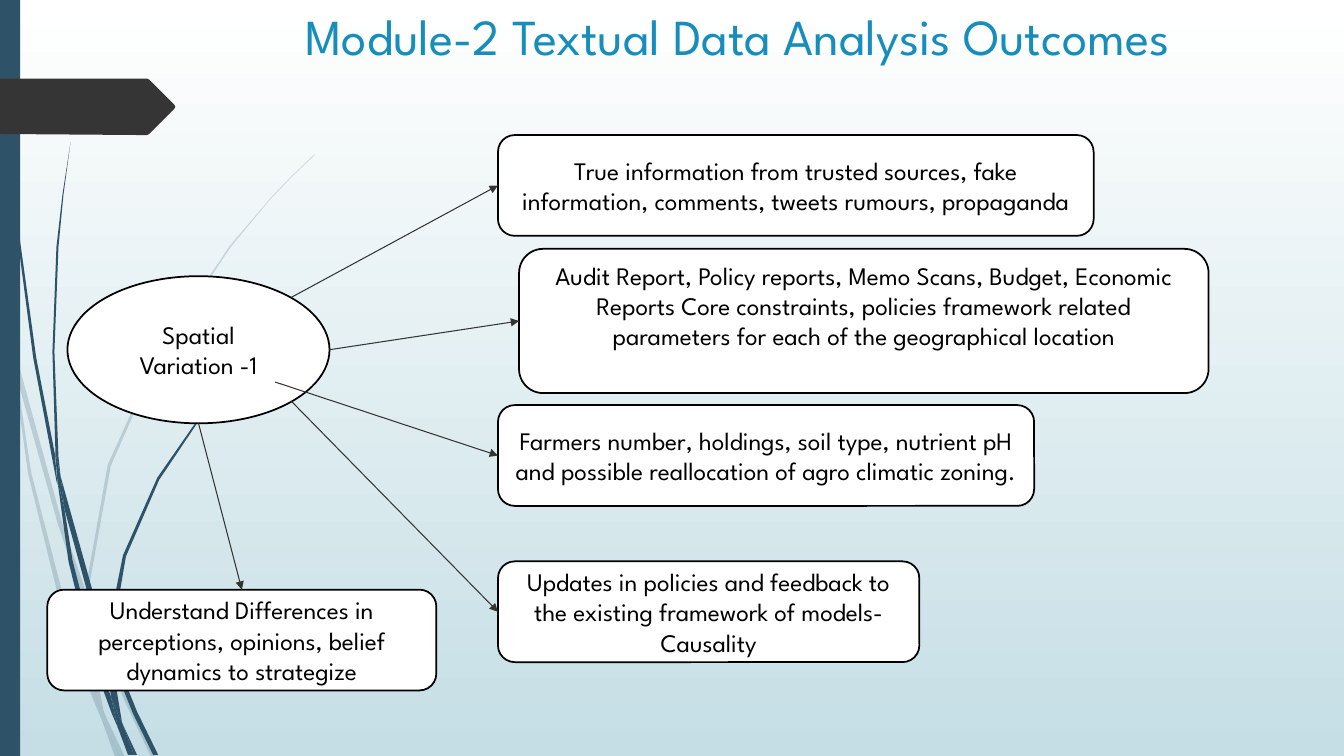
from lxml.etree import SubElement
from pptx import Presentation
from pptx.dml.color import RGBColor
from pptx.enum.shapes import MSO_CONNECTOR, MSO_SHAPE
from pptx.enum.text import MSO_ANCHOR, PP_ALIGN
from pptx.oxml.ns import qn
from pptx.util import Pt

FONT = "League Spartan"
NAVY = "2E5369"
LEFT, TOP = 1, 0  # connection sites

# Outlines of the grass blades, in hundredths of an inch
PALE_BLADES = [
    [(11, 350), (9, 322), (0, 282), (0, 299), (10, 344)],
    [(58, 522), (84, 599), (85, 586), (62, 520), (14, 345), (17, 376)],
    [(92, 607), (88, 596), (88, 610), (123, 694), (150, 751), (155, 751), (127, 692)],
    [(119, 751), (124, 751), (105, 711)],
    [(93, 683), (70, 619), (31, 469), (17, 376), (11, 350), (28, 470), (65, 621),
     (92, 693), (101, 714), (99, 707)],
    [(84, 599), (87, 646), (93, 683), (96, 692), (105, 711), (103, 706), (91, 646),
     (88, 610), (88, 608)],
    [(88, 584), (110, 462), (160, 349), (229, 245), (268, 198), (290, 175), (312, 154),
     (312, 153), (289, 175), (268, 197), (228, 244), (158, 348), (107, 461), (85, 584),
     (85, 586), (88, 596)],
    [(101, 714), (114, 751), (119, 751)],
    [(88, 608), (88, 610), (88, 596), (85, 586), (84, 599)],
    [(96, 692), (93, 683), (99, 707), (101, 714), (119, 751), (105, 711)],
]
DARK_BLADES = [
    [(7, 110), (17, 233), (33, 355), (56, 477), (57, 481), (55, 457), (55, 453),
     (36, 355), (19, 232), (8, 109), (5, 48), (4, 0), (3, 0), (4, 48)],
    [(88, 592), (106, 645), (106, 633), (106, 631), (93, 590), (60, 472), (64, 505)],
    [(113, 649), (110, 641), (111, 656), (132, 708), (152, 749), (157, 749), (136, 706)],
    [(110, 691), (98, 657), (72, 556), (64, 505), (57, 477), (68, 557), (93, 659),
     (111, 708), (117, 722), (116, 717)],
    [(60, 472), (58, 453), (54, 349), (58, 245), (63, 193), (70, 141), (62, 193),
     (56, 245), (52, 349), (55, 449)],
    [(133, 749), (136, 749), (122, 719)],
    [(57, 477), (64, 505), (60, 472), (55, 449), (55, 453)],
    [(111, 633), (125, 552), (158, 476), (205, 406), (231, 374), (245, 359), (261, 344),
     (260, 344), (245, 358), (231, 373), (204, 405), (156, 474), (122, 551), (106, 631),
     (110, 641)],
    [(117, 722), (127, 749), (131, 749)],
    [(106, 645), (110, 691), (116, 706), (122, 719), (121, 716), (111, 656), (109, 651)],
    [(116, 706), (110, 691), (116, 717), (117, 722), (130, 749), (133, 749), (122, 719)],
]
TAG = [(173, 108), (148, 133), (146, 134), (136, 134), (0, 133), (0, 78), (146, 78),
       (148, 79), (173, 104), (174, 106)]

# Left, top, width, height, start of the arrow, side it reaches, text
OUTCOMES = [
    (355.7, 96.5, 425.5, 72, (208.1, 212.4), LEFT,
     "True information from trusted sources, fake information, comments, tweets rumours, "
     "propaganda"),
    (370.8, 177.8, 492.5, 103, (235.4, 249.8), LEFT,
     "Audit Report, Policy reports, Memo Scans, Budget, Economic Reports Core constraints, "
     "policies framework related parameters for each of the geographical location"),
    (355.7, 289.4, 383, 72, (196.6, 272.9), LEFT,
     "Farmers number, holdings, soil type, nutrient pH and possible reallocation of agro "
     "climatic zoning."),
    (355.7, 401, 301, 72, (208.1, 286.6), LEFT,
     "Updates in policies and feedback to the existing framework of models-Causality"),
    (33.8, 421.2, 277.9, 72, (141.8, 302.4), TOP,
     "Understand Differences in perceptions, opinions, belief dynamics to strategize"),
]


def color(hex_string):
    return RGBColor.from_string(hex_string)


def add_bubble(preset, left, top, width, height, text):
    """Add a white, black-edged shape with centred text."""
    bubble = page.shapes.add_shape(preset, Pt(left), Pt(top), Pt(width), Pt(height))
    bubble.shadow.inherit = False
    bubble.fill.solid()
    bubble.fill.fore_color.rgb = color("FFFFFF")
    bubble.line.color.rgb = color("000000")
    bubble.line.width = Pt(1.25)
    frame = bubble.text_frame
    frame.word_wrap = True
    frame.vertical_anchor = MSO_ANCHOR.MIDDLE
    para = frame.paragraphs[0]
    para.alignment = PP_ALIGN.CENTER
    span = para.add_run()
    span.text = text
    span.font.name = FONT
    span.font.size = Pt(18)
    span.font.color.rgb = color("000000")
    return bubble


deck = Presentation()
deck.slide_width, deck.slide_height = Pt(960), Pt(540)
page = deck.slides.add_slide(deck.slide_layouts[6])

backdrop = page.background.fill
backdrop.gradient()
backdrop.gradient_angle = 270
for stop, shade in zip(backdrop.gradient_stops, ("FFFFFF", "C5DEE5")):
    stop.color.rgb = color(shade)

# Decoration on the left edge
band = page.shapes.add_shape(MSO_SHAPE.RECTANGLE, 0, 0, Pt(14.4), Pt(540))
band.shadow.inherit = False
band.fill.solid()
band.fill.fore_color.rgb = color(NAVY)
band.line.fill.background()

for outlines, shade, opacity in ((PALE_BLADES, NAVY, 20), (DARK_BLADES, NAVY, 100),
                                 ([TAG], "353535", 100)):
    for outline in outlines:
        builder = page.shapes.build_freeform(*outline[0], scale=Pt(0.72))
        builder.add_line_segments(outline[1:], close=True)
        piece = builder.convert_to_shape()
        piece.shadow.inherit = False
        piece.fill.solid()
        piece.fill.fore_color.rgb = color(shade)
        piece.line.fill.background()
        if opacity < 100:
            tint = piece.fill._xPr.find(qn("a:solidFill"))[0]
            SubElement(tint, qn("a:alpha"), val=str(opacity * 1000))

# Title
title = page.shapes.add_textbox(Pt(211), 0, Pt(702), Pt(100.8))
title.text_frame.word_wrap = True
span = title.text_frame.paragraphs[0].add_run()
span.text = "Module-2 Textual Data Analysis Outcomes"
span.font.name = FONT
span.font.size = Pt(36)
span.font.color.rgb = color("178DBB")

# Hub, outcomes and arrows
add_bubble(MSO_SHAPE.OVAL, 48.2, 197.3, 187.2, 105.1, "Spatial Variation -1")
for left, top, width, height, start, side, text in OUTCOMES:
    box = add_bubble(MSO_SHAPE.ROUNDED_RECTANGLE, left, top, width, height, text)
    if height > 72:
        box.text_frame.margin_bottom = Pt(25.4)  # lifts the text in the tall box
    arrow = page.shapes.add_connector(MSO_CONNECTOR.STRAIGHT, Pt(start[0]), Pt(start[1]),
                                      Pt(left), Pt(top))
    arrow.end_connect(box, side)
    arrow.line.color.rgb = color("333333")
    arrow.line.width = Pt(0.75)
    SubElement(arrow.line._get_or_add_ln(), qn("a:tailEnd"), type="triangle")
    SubElement(arrow._element.spPr, qn("a:effectLst"))

deck.save("out.pptx")
